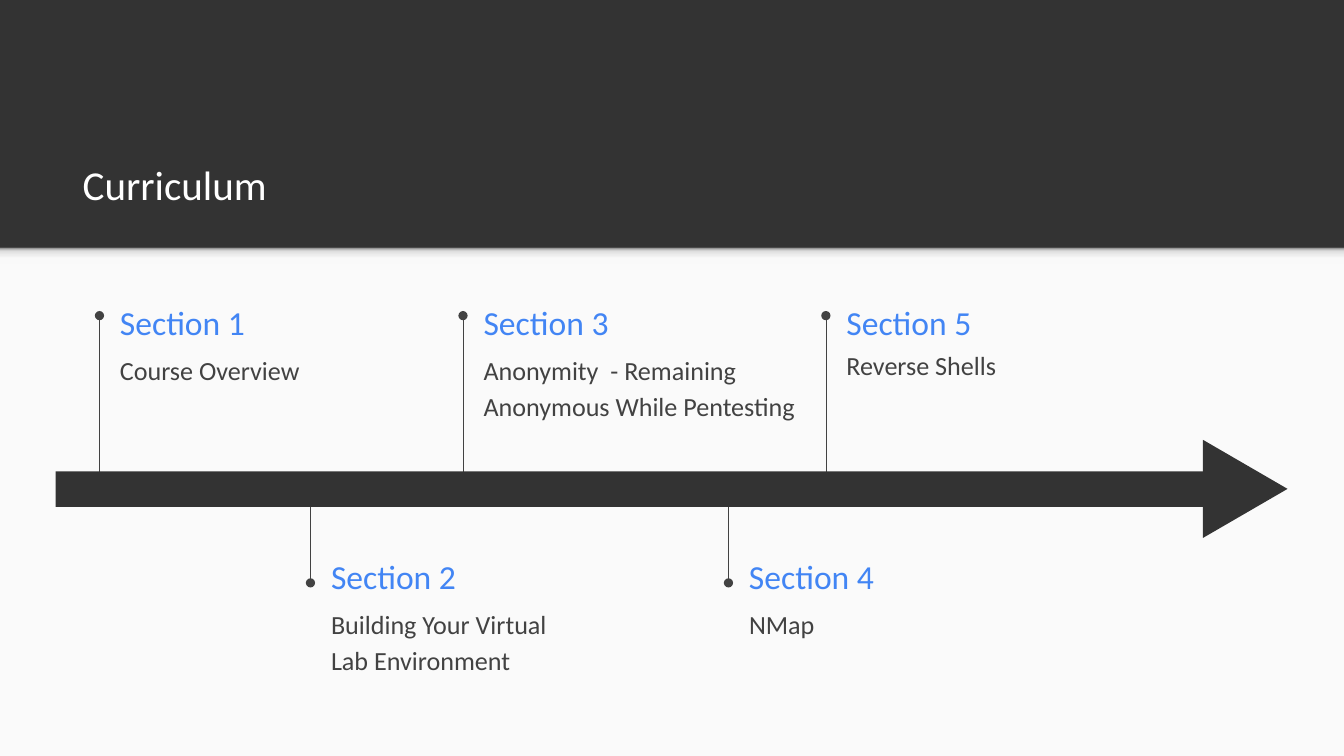
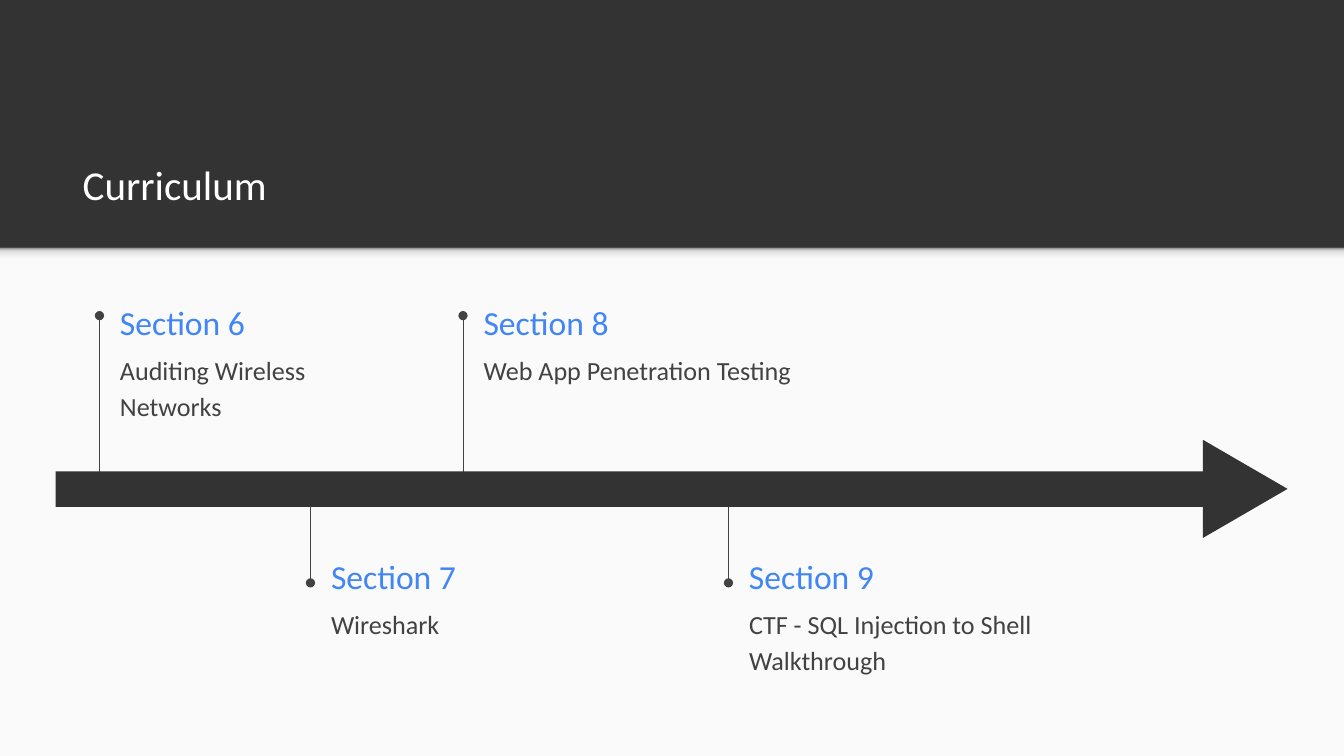
from dataclasses import dataclass

from lxml.etree import SubElement
from pptx import Presentation
from pptx.dml.color import RGBColor
from pptx.enum.shapes import MSO_CONNECTOR, MSO_SHAPE
from pptx.enum.text import MSO_ANCHOR, MSO_AUTO_SIZE, PP_ALIGN
from pptx.oxml.ns import qn
from pptx.util import Emu, Inches, Pt

WIDTH, HEIGHT = Emu(18288000), Emu(10282238)


@dataclass(frozen=True)
class Theme:
    font: str = "Calibri"
    dark: str = "333333"
    panel: str = "FAFAFA"
    text: str = "424242"
    accent: str = "4285F4"
    white: str = "FFFFFF"
    shade: tuple = ((0, "F9F9F9"), (36, "F9F9F9"), (80, "DEDEDE"), (100, "999999"))
    title_size: int = 44
    heading_size: int = 36
    body_size: int = 28
    pin_width: float = 0.75


@dataclass(frozen=True)
class Side:
    """Vertical places, in percent of the slide height, on one side of the arrow."""
    dot: float
    heading: float
    body: float


THEME = Theme()
ABOVE = Side(dot=41.75, heading=38.8, body=44.48)
BELOW = Side(dot=77.1, heading=72.4, body=78.05)
HIGH_BODY = Side(dot=41.75, heading=38.8, body=43.8)

PINS = (7.4, 23.1, 34.45, 54.2, 61.45)
SIDES = (ABOVE, BELOW, ABOVE, BELOW, HIGH_BODY)
AXIS = 64.06
PIN_GAP = 0.53
HEADING_W, HEADING_H, BODY_H = 19.85, 7.65, 11.3

# Each section: description and width of its text in percent of the slide width
TIMELINES = (
    (1, (("Course Overview", 19.85),
         ("Building Your Virtual Lab Environment", 19.85),
         ("Anonymity  - Remaining Anonymous While Pentesting", 26),
         ("NMap", 31.75),
         ("Reverse Shells", 28.7))),
    (6, (("Auditing Wireless Networks", 19.85),
         ("Wireshark", 25.4),
         ("Web App Penetration Testing", 24.9),
         ("CTF - SQL Injection to Shell Walkthrough", 25.55))),
)


def across(percent):
    return Emu(round(WIDTH * percent / 100))


def down(percent):
    return Emu(round(HEIGHT * percent / 100))


def frame(x, y, w, h):
    return across(x), down(y), across(w), down(h)


def rgb(value):
    return RGBColor.from_string(value)


def write(sp, text, size, color, anchor):
    tf = sp.text_frame
    tf.word_wrap = True
    tf.auto_size = MSO_AUTO_SIZE.NONE
    tf.vertical_anchor = anchor
    tf.margin_left = tf.margin_right = tf.margin_top = tf.margin_bottom = Inches(0.2)
    tf.text = text
    p = tf.paragraphs[0]
    p.alignment = PP_ALIGN.LEFT
    p.font.name = THEME.font
    p.font.size = Pt(size)
    p.font.color.rgb = rgb(color)
    return p


def add_block(shapes, kind, box, color):
    sp = shapes.add_shape(kind, *frame(*box))
    sp.shadow.inherit = False
    sp.fill.solid()
    sp.fill.fore_color.rgb = rgb(color)
    sp.line.fill.background()
    return sp


def shade(sp):
    """Fill with the theme's gradient, running from bottom to top."""
    sp.fill.gradient()
    sp.fill.gradient_angle = 90
    stops = sp._element.spPr.find(qn("a:gradFill")).find(qn("a:gsLst"))
    for stop in list(stops):
        stops.remove(stop)
    for percent, color in THEME.shade:
        stop = SubElement(stops, qn("a:gs"), pos=str(percent * 1000))
        SubElement(stop, qn("a:srgbClr"), val=color)


def add_panel(s):
    add_block(s.shapes, MSO_SHAPE.RECTANGLE, (0, 32.8, 100, 67.2), THEME.panel)
    shade(add_block(s.shapes, MSO_SHAPE.RECTANGLE, (0, 32.8, 100, 2.14), THEME.panel))


def add_title(s, text):
    sp = s.shapes.title
    sp.left, sp.top, sp.width, sp.height = frame(5.15, 14.4, 89.95, 14.95)
    write(sp, text, THEME.title_size, THEME.white, MSO_ANCHOR.BOTTOM)


def add_pin(s, x, dot):
    pin = s.shapes.add_connector(MSO_CONNECTOR.STRAIGHT, across(x), down(AXIS),
                                 across(x), down(dot))
    pin.line.color.rgb = rgb(THEME.text)
    pin.line.width = Pt(THEME.pin_width)
    SubElement(pin.line._get_or_add_ln(), qn("a:tailEnd"), type="oval", w="lg", len="lg")
    SubElement(pin._element.spPr, qn("a:effectLst"))


def add_section(s, number, text, width, x, side):
    add_pin(s, x, side.dot)
    left = x + PIN_GAP
    heading = s.shapes.add_textbox(*frame(left, side.heading, HEADING_W, HEADING_H))
    write(heading, f"Section {number}", THEME.heading_size, THEME.accent, MSO_ANCHOR.MIDDLE)
    body = s.shapes.add_textbox(*frame(left, side.body, width, BODY_H))
    p = write(body, text, THEME.body_size, THEME.text, MSO_ANCHOR.TOP)
    p.line_spacing = 1.15
    p.space_after = Pt(16)


def add_arrow(s):
    group = s.shapes.add_group_shape()
    head = add_block(group.shapes, MSO_SHAPE.ISOSCELES_TRIANGLE,
                     (89, 59.07, 7.3, 11.2), THEME.dark)
    head.rotation = 90
    add_block(group.shapes, MSO_SHAPE.RECTANGLE, (4.15, 62.35, 86.5, 4.7), THEME.dark)


def add_timeline(prs, first, sections):
    s = prs.slides.add_slide(prs.slide_layouts.get_by_name("Title Only"))
    add_panel(s)
    add_title(s, "Curriculum")
    for number, ((text, width), x, side) in enumerate(zip(sections, PINS, SIDES), first):
        add_section(s, number, text, width, x, side)
    add_arrow(s)


def main():
    prs = Presentation()
    prs.slide_width, prs.slide_height = WIDTH, HEIGHT
    background = prs.slide_master.background.fill
    background.solid()
    background.fore_color.rgb = rgb(THEME.dark)
    for first, sections in TIMELINES:
        add_timeline(prs, first, sections)
    prs.save("out.pptx")


if __name__ == "__main__":
    main()
